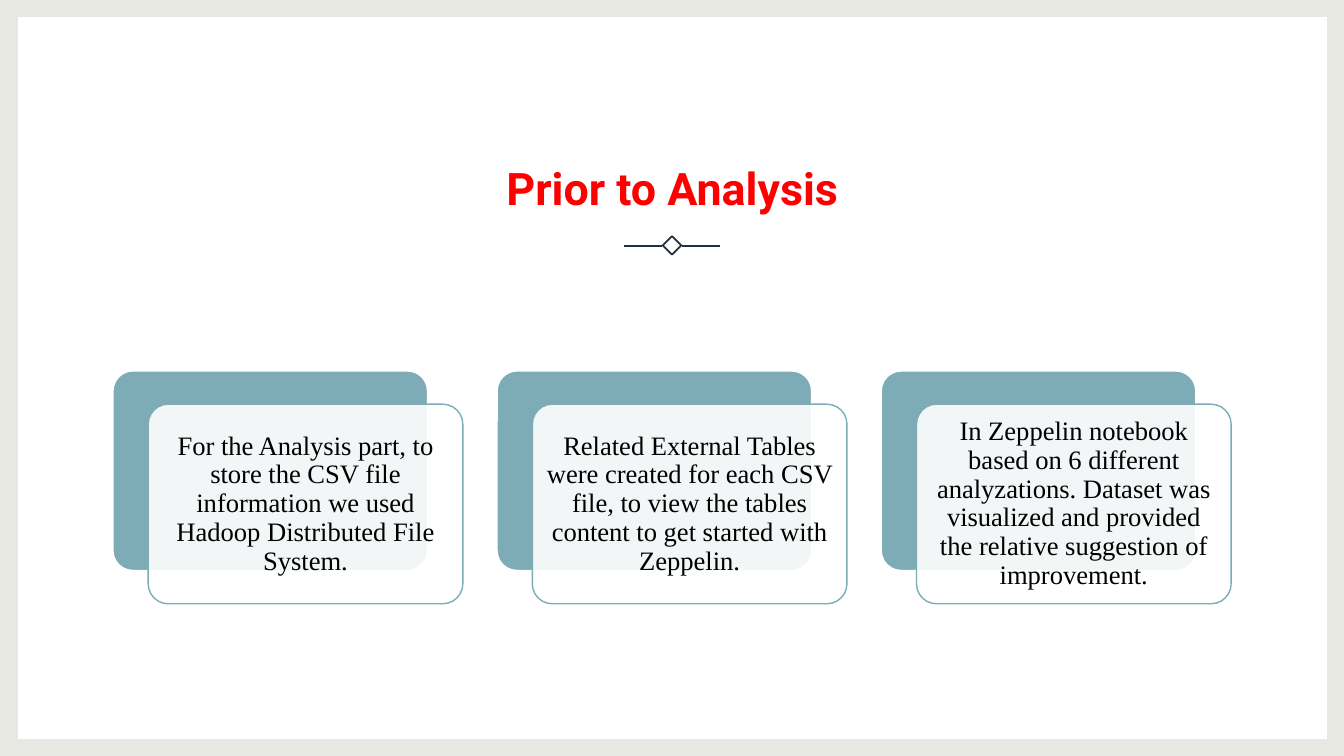
import pptx
import pptx.dml.color
import pptx.enum.shapes
import pptx.enum.text
import pptx.oxml
import pptx.oxml.ns
import pptx.util
from pptx.util import Inches

COLOURS = {
    "frame": "E8E8E2",
    "paper": "FFFFFF",
    "title": "FF0000",
    "ornament": "243041",
    "teal": "7DACB7",
    "text": "000000",
}
STEPS = [
    "For the Analysis part, to store the CSV file information we used "
    "Hadoop Distributed File System.",
    "Related External Tables were created for each CSV file, to view the "
    "tables content to get started with Zeppelin.",
    "In Zeppelin notebook based on 6 different analyzations. Dataset was "
    "visualized and provided the relative suggestion of improvement.",
]
SHAPES = pptx.enum.shapes.MSO_SHAPE
ANCHOR = pptx.enum.text.MSO_ANCHOR
CENTER = pptx.enum.text.PP_ALIGN.CENTER


def colour(name):
    return pptx.dml.color.RGBColor.from_string(COLOURS[name])


def add_box(page, kind, left, top, width, height, fill=None, line=None, weight=1):
    box = page.shapes.add_shape(
        kind, Inches(left), Inches(top), Inches(width), Inches(height))
    box.shadow.inherit = False
    if fill:
        box.fill.solid()
        box.fill.fore_color.rgb = colour(fill)
    else:
        box.fill.background()
    if line:
        box.line.color.rgb = colour(line)
        box.line.width = pptx.util.Pt(weight)
    else:
        box.line.fill.background()
    return box


def set_opacity(box, percent):
    tint = box.fill._xPr.find(".//" + pptx.oxml.ns.qn("a:srgbClr"))
    tint.append(pptx.oxml.parse_xml(
        f'<a:alpha {pptx.oxml.ns.nsdecls("a")} val="{percent * 1000}"/>'))


def write(box, text, font, size, ink, spacing, anchor, bold=False):
    frame = box.text_frame
    frame.text = text
    frame.word_wrap = True
    frame.vertical_anchor = anchor
    para = frame.paragraphs[0]
    para.alignment = CENTER
    para.line_spacing = spacing
    span = para.runs[0]
    span.font.name = font
    span.font.size = pptx.util.Pt(size)
    span.font.bold = bold
    span.font.color.rgb = colour(ink)


def add_title(page, text):
    title = page.shapes.title
    # Bring the title in front of the backdrop
    title.element.getparent().append(title.element)
    title.left, title.top = Inches(1.13), Inches(1.05)
    title.width, title.height = Inches(11.08), Inches(1.13)
    write(title, text, "Roboto", 32, "title", 1.1, ANCHOR.BOTTOM, bold=True)


def add_rule(page, start, end, y):
    rule = page.shapes.add_connector(
        pptx.enum.shapes.MSO_CONNECTOR.STRAIGHT,
        Inches(start), Inches(y), Inches(end), Inches(y))
    rule.line.color.rgb = colour("ornament")
    rule.line.width = pptx.util.Pt(1.25)
    rule.element.spPr.append(pptx.oxml.parse_xml(
        f'<a:effectLst {pptx.oxml.ns.nsdecls("a")}/>'))


def add_ornament(page):
    """Draw the diamond between two short rules under the title."""
    diamond = add_box(page, SHAPES.RECTANGLE, 6.6, 2.37, 0.13, 0.13,
                      line="ornament", weight=1.25)
    diamond.rotation = 45
    for start in (6.19, 6.76):
        add_rule(page, start, start + 0.38, 2.44)


def add_card(page, left, text):
    """Draw a teal block with a translucent text card offset in front."""
    top, width, height = 3.68, 3.12, 1.98
    block = add_box(page, SHAPES.ROUNDED_RECTANGLE, left, top, width, height,
                    fill="teal", line="paper")
    card = add_box(page, SHAPES.ROUNDED_RECTANGLE, left + 0.35, top + 0.33,
                   width, height, fill="paper", line="teal")
    for box in (block, card):
        box.adjustments[0] = 0.1
    set_opacity(card, 90)
    frame = card.text_frame
    frame.margin_left = frame.margin_right = Inches(0.08)
    frame.margin_top = frame.margin_bottom = Inches(0.08)
    write(card, text, "Times New Roman", 19, "text", 0.9, ANCHOR.MIDDLE)


def main():
    deck = pptx.Presentation()
    deck.slide_width, deck.slide_height = Inches(13.33), Inches(7.5)
    page = deck.slides.add_slide(deck.slide_layouts[5])
    add_box(page, SHAPES.RECTANGLE, 0, 0, 13.33, 7.5, fill="frame")
    add_box(page, SHAPES.RECTANGLE, 0.18, 0.17, 12.98, 7.16, fill="paper")
    add_title(page, "Prior to Analysis")
    add_ornament(page)
    for index, text in enumerate(STEPS):
        add_card(page, 1.12 + 3.81 * index, text)
    deck.save("out.pptx")


if __name__ == "__main__":
    main()
